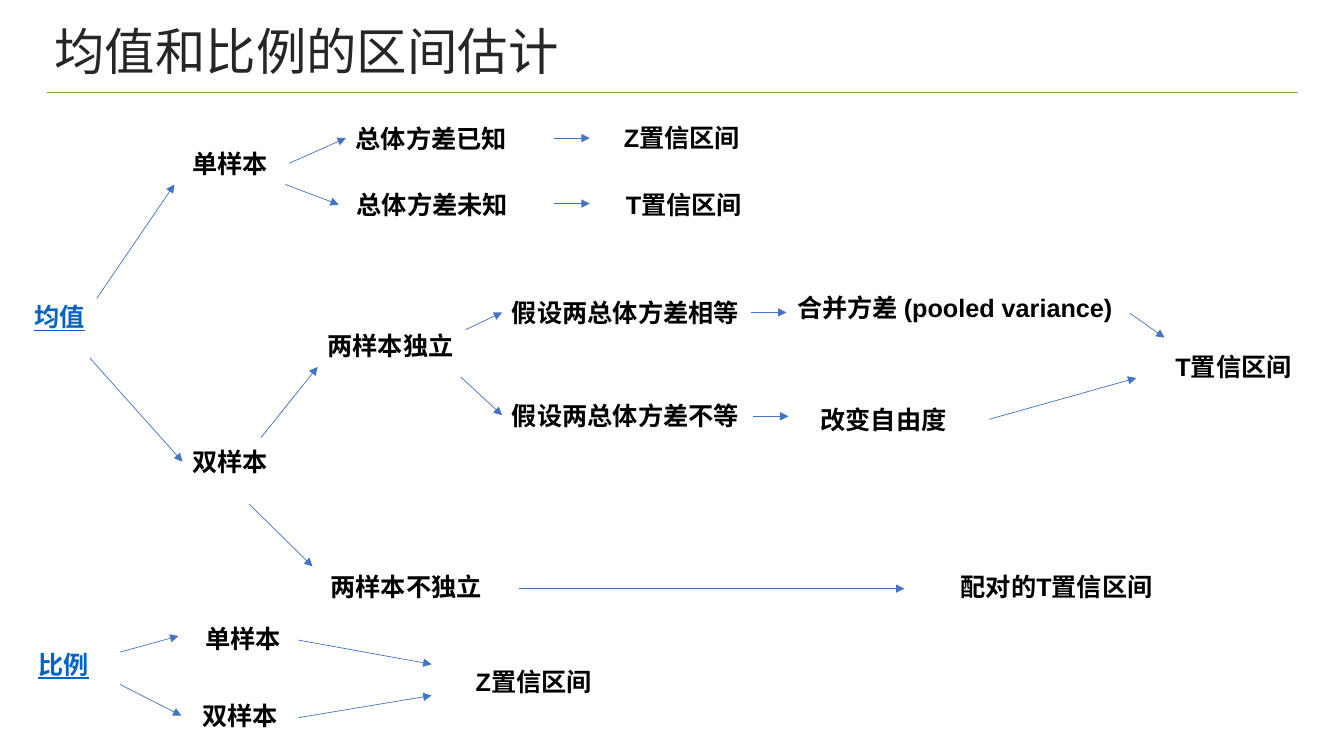
from lxml.etree import SubElement
from pptx import Presentation
from pptx.dml.color import RGBColor
from pptx.enum.shapes import MSO_CONNECTOR
from pptx.enum.text import MSO_ANCHOR, MSO_AUTO_SIZE, PP_ALIGN
from pptx.oxml.ns import qn
from pptx.util import Inches, Pt

GREEN = RGBColor(0x70, 0xAD, 0x47)
BLUE = RGBColor(0x44, 0x72, 0xC4)
LINK_BLUE = RGBColor(0x05, 0x63, 0xC1)
DARK_GRAY = RGBColor(0x26, 0x26, 0x26)
BLACK = RGBColor(0x00, 0x00, 0x00)
CHINESE_FONT = "Noto Sans CJK SC"
LATIN_FONT = "Arial"
NODE_HEIGHT = 0.4
LEFT_SIDE, RIGHT_SIDE = 1, 3


def write_text(frame, text, size=18, color=BLACK, bold=True, underline=False,
               latin=LATIN_FONT):
    paragraph = frame.paragraphs[0]
    paragraph.alignment = PP_ALIGN.LEFT
    run = paragraph.add_run()
    run.text = text
    font = run.font
    font.name, font.size, font.bold, font.underline = latin, Pt(size), bold, underline
    font.color.rgb = color
    SubElement(run._r.get_or_add_rPr(), qn("a:ea"), typeface=CHINESE_FONT)
    return paragraph


def node_width(text):
    """Width in inches that holds 18 pt Chinese characters and single Latin letters."""
    return 0.22 + sum(0.14 if character.isascii() else 0.25 for character in text)


def add_node(slide, text, x, y, width=None, **text_format):
    node = slide.shapes.add_textbox(
        Inches(x), Inches(y), Inches(width or node_width(text)), Inches(NODE_HEIGHT))
    node.text_frame.word_wrap = True
    node.text_frame.auto_size = MSO_AUTO_SIZE.SHAPE_TO_FIT_TEXT
    write_text(node.text_frame, text, **text_format)
    return node


def add_line(slide, start, end, color):
    line = slide.shapes.add_connector(
        MSO_CONNECTOR.STRAIGHT, *(Inches(value) for value in (*start, *end)))
    line.line.color.rgb = color
    line.line.width = Pt(0.5)
    SubElement(line._element.spPr, qn("a:effectLst"))
    return line


def add_arrow(slide, left, top, start, end):
    """Each end is either an (x, y) point in the region or a (node, side) pair."""
    joins = [None if isinstance(tip[0], (int, float)) else tip for tip in (start, end)]
    points = [(0, 0) if join else (left + tip[0], top + tip[1])
              for tip, join in zip((start, end), joins)]
    arrow = add_line(slide, *points, BLUE)
    for join, connect in zip(joins, (arrow.begin_connect, arrow.end_connect)):
        if join:
            connect(*join)
    SubElement(arrow.line._get_or_add_ln(), qn("a:tailEnd"), type="triangle")


def add_heading(slide, left, top, width):
    title = slide.shapes.title
    title.left, title.top = Inches(left), Inches(top)
    title.width, title.height = Inches(5.76), Inches(0.67)
    frame = title.text_frame
    frame.vertical_anchor = MSO_ANCHOR.BOTTOM
    frame.auto_size = MSO_AUTO_SIZE.NONE
    frame.margin_left = frame.margin_right = Inches(0.07)
    frame.margin_top = frame.margin_bottom = Inches(0.04)
    paragraph = write_text(frame, "均值和比例的区间估计", size=36, color=DARK_GRAY,
                           bold=False, latin=CHINESE_FONT)
    paragraph.line_spacing = 0.9
    add_line(slide, (left, top + 0.74), (left + width, top + 0.74), GREEN)


def add_mean_tree(slide, left, top):
    def place(text, x, y, **options):
        return add_node(slide, text, left + x, top + y, **options)

    place("均值", 0, 1.78, color=LINK_BLUE, underline=True)
    place("单样本", 1.57, 0.26)
    two_samples = place("双样本", 1.57, 3.22)
    known_variance = place("总体方差已知", 3.19, 0.01)
    place("总体方差未知", 3.2, 0.67)
    place("Z置信区间", 5.85, 0)
    place("T置信区间", 5.87, 0.67)
    place("两样本独立", 2.91, 2.07)
    place("两样本不独立", 2.94, 4.46)
    equal_variances = place("假设两总体方差相等", 4.74, 1.74)
    unequal_variances = place("假设两总体方差不等", 4.74, 2.76)
    place("合并方差 (pooled variance)", 7.57, 1.69, width=3.43)
    place("改变自由度", 7.8, 2.8, width=2.11)
    place("T置信区间", 11.32, 2.28)
    place("配对的T置信区间", 9.19, 4.46)

    for start, end in [
        ((0.72, 1.8), (1.49, 0.67)),
        ((0.65, 2.39), (two_samples, LEFT_SIDE)),
        ((2.63, 0.46), (known_variance, LEFT_SIDE)),
        ((2.59, 0.67), (3.12, 0.87)),
        ((5.25, 0.21), (5.61, 0.21)),
        ((5.25, 0.86), (5.61, 0.86)),
        ((2.35, 3.18), (2.91, 2.48)),
        ((2.23, 3.84), (2.86, 4.46)),
        ((4.38, 2.11), (equal_variances, LEFT_SIDE)),
        ((4.33, 2.58), (unequal_variances, LEFT_SIDE)),
        ((equal_variances, RIGHT_SIDE), (7.56, 1.94)),
        ((7.23, 2.97), (7.58, 2.97)),
        ((10.97, 1.95), (11.31, 2.19)),
        ((9.57, 3), (11.03, 2.59)),
        ((4.91, 4.68), (8.73, 4.68)),
    ]:
        add_arrow(slide, left, top, start, end)


def add_proportion_tree(slide, left, top):
    for text, x, y, options in [
        ("比例", 0, 0.26, {"color": LINK_BLUE, "underline": True}),
        ("单样本", 1.66, 0, {}),
        ("双样本", 1.63, 0.77, {}),
        ("Z置信区间", 4.34, 0.43, {}),
    ]:
        add_node(slide, text, left + x, top + y, **options)
    for start, end in [
        ((0.91, 0.34), (1.49, 0.18)),
        ((0.91, 0.66), (1.52, 0.97)),
        ((2.68, 0.22), (4, 0.46)),
        ((2.68, 0.99), (4, 0.77)),
    ]:
        add_arrow(slide, left, top, start, end)


def main():
    presentation = Presentation()
    presentation.slide_width = Inches(13.33)
    presentation.slide_height = Inches(7.5)
    title_only = presentation.slide_layouts[5]
    slide = presentation.slides.add_slide(title_only)
    add_heading(slide, 0.47, 0.18, 12.4)
    add_mean_tree(slide, 0.24, 1.16)
    add_proportion_tree(slide, 0.28, 6.13)
    presentation.save("out.pptx")


if __name__ == "__main__":
    main()
